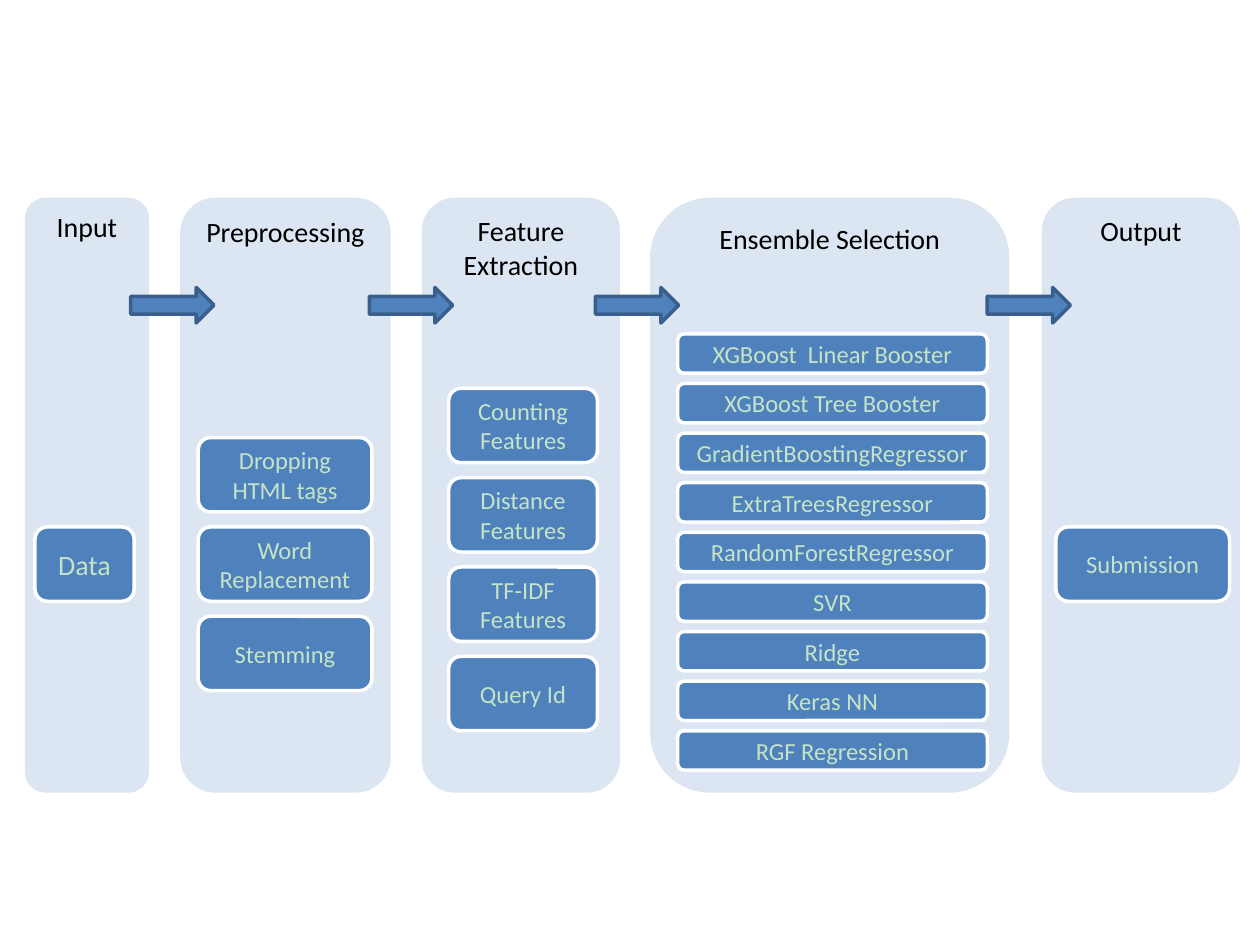
import pptx
import pptx.dml.color
import pptx.enum.shapes
import pptx.enum.text
import pptx.util

PANEL_TOP, PANEL_HEIGHT = 113, 340
ARROW_TOP, ARROW_WIDTH, ARROW_HEIGHT = 164.3, 47.6, 20.3
BLUE, PALE_BLUE, DARK_BLUE = "4F81BD", "DCE6F2", "3A5F8C"
WHITE, BLACK, PALE_GREEN = "FFFFFF", "000000", "C5E4C7"

STAGES = [
    {"heading": "Input", "left": 14.2, "width": 71, "box_left": 20, "box_width": 56.7,
     "first_top": 301.1, "box_height": 42.5, "pitch": 51.05, "size": 16,
     "steps": ["Data"]},
    {"heading": "Preprocessing", "left": 103, "width": 120.3, "box_left": 113.3, "box_width": 99.2,
     "first_top": 250.05, "box_height": 42.5, "pitch": 51.05, "size": 14,
     "steps": ["Dropping HTML tags", "Word Replacement", "Stemming"]},
    {"heading": "Feature Extraction", "left": 241, "width": 113.3, "box_left": 256.4, "box_width": 85,
     "first_top": 221.9, "box_height": 42.5, "pitch": 51.05, "size": 14,
     "steps": ["Counting Features", "Distance Features", "TF-IDF Features", "Query Id"]},
    {"heading": "Ensemble Selection", "left": 371.5, "width": 205.3, "box_left": 387.2, "box_width": 177,
     "first_top": 190.8, "box_height": 22.5, "pitch": 28.35, "size": 14,
     "steps": ["XGBoost  Linear Booster", "XGBoost Tree Booster", "GradientBoostingRegressor",
               "ExtraTreesRegressor", "RandomForestRegressor", "SVR", "Ridge", "Keras NN",
               "RGF Regression"]},
    {"heading": "Output", "left": 595.3, "width": 113.3, "box_left": 603.4, "box_width": 99.2,
     "first_top": 301.1, "box_height": 42.5, "pitch": 51.05, "size": 14,
     "steps": ["Submission"]},
]
ARROW_LEFTS = [74.7, 211, 340.2, 564]


def color(value):
    return pptx.dml.color.RGBColor.from_string(value)


def add_filled_shape(shapes, kind, left, top, width, height, fill, line=None):
    position = [pptx.util.Pt(length) for length in (left, top, width, height)]
    shape = shapes.add_shape(kind, *position)
    shape.shadow.inherit = False
    shape.fill.solid()
    shape.fill.fore_color.rgb = color(fill)
    if line:
        shape.line.color.rgb = color(line)
        shape.line.width = pptx.util.Pt(2)
    else:
        shape.line.fill.background()
    return shape


def set_label(shape, text, size, text_color, anchor):
    text_frame = shape.text_frame
    text_frame.text = text
    text_frame.word_wrap = True
    text_frame.vertical_anchor = anchor
    paragraph = text_frame.paragraphs[0]
    paragraph.alignment = pptx.enum.text.PP_ALIGN.CENTER
    font = paragraph.runs[0].font
    font.name = "Calibri"
    font.size = pptx.util.Pt(size)
    font.color.rgb = color(text_color)


def add_stage(slide, stage):
    shapes = slide.shapes.add_group_shape().shapes
    rounded = pptx.enum.shapes.MSO_SHAPE.ROUNDED_RECTANGLE
    anchors = pptx.enum.text.MSO_ANCHOR
    panel = add_filled_shape(shapes, rounded, stage["left"], PANEL_TOP,
                             stage["width"], PANEL_HEIGHT, PALE_BLUE)
    set_label(panel, stage["heading"], 16, BLACK, anchors.TOP)
    for index, step in enumerate(stage["steps"]):
        top = stage["first_top"] + index * stage["pitch"]
        box = add_filled_shape(shapes, rounded, stage["box_left"], top,
                               stage["box_width"], stage["box_height"], BLUE, WHITE)
        set_label(box, step, stage["size"], PALE_GREEN, anchors.MIDDLE)


def add_arrow(slide, left):
    add_filled_shape(slide.shapes, pptx.enum.shapes.MSO_SHAPE.RIGHT_ARROW, left, ARROW_TOP,
                     ARROW_WIDTH, ARROW_HEIGHT, BLUE, DARK_BLUE)


def main():
    presentation = pptx.Presentation()
    presentation.slide_width = pptx.util.Pt(720)
    presentation.slide_height = pptx.util.Pt(540)
    slide = presentation.slides.add_slide(presentation.slide_layouts[6])
    for stage in STAGES:
        add_stage(slide, stage)
    for left in ARROW_LEFTS:
        add_arrow(slide, left)
    presentation.save("out.pptx")


if __name__ == "__main__":
    main()
